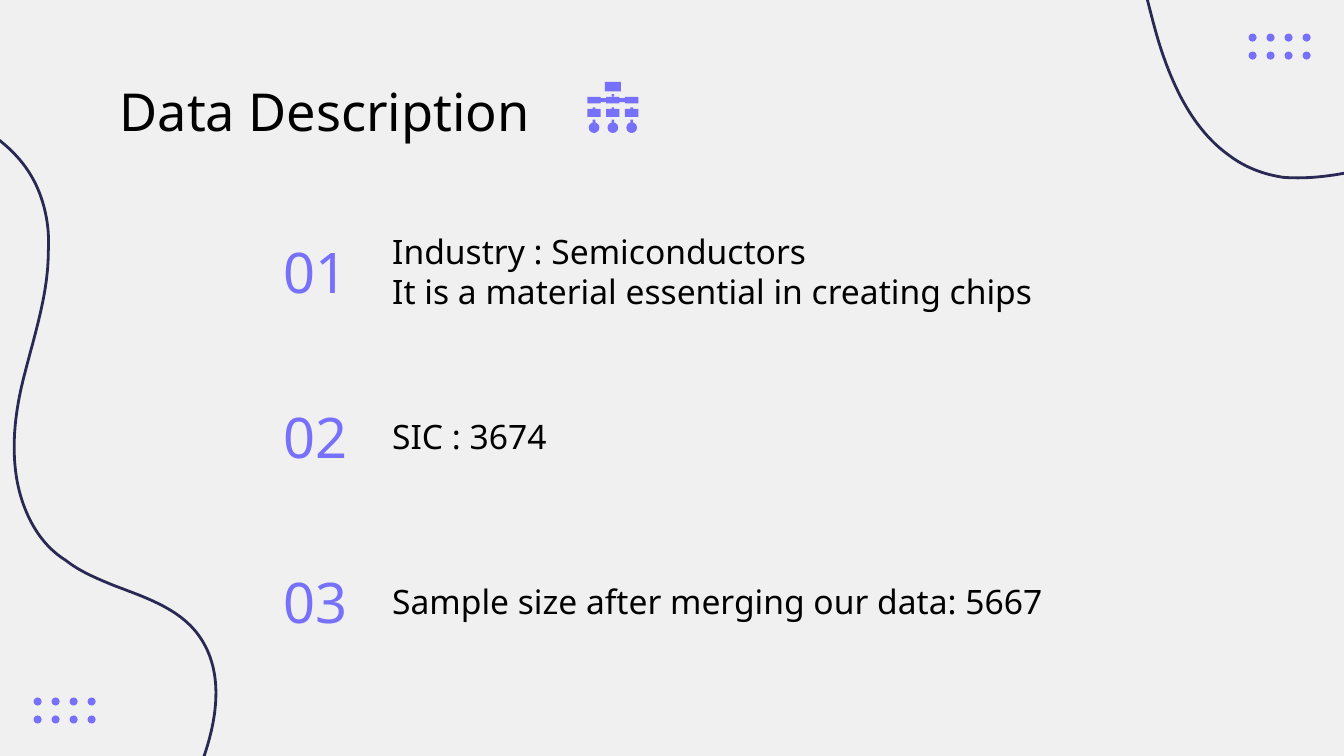
from dataclasses import dataclass

from pptx import Presentation
from pptx.dml.color import RGBColor
from pptx.enum import shapes, text
from pptx.util import Inches, Pt


@dataclass(frozen=True)
class Theme:
    font: str = "Noto Sans"
    background: RGBColor = RGBColor(0xF0, 0xF0, 0xF0)
    ink: RGBColor = RGBColor(0, 0, 0)
    accent: RGBColor = RGBColor(0x77, 0x70, 0xFA)
    wave: RGBColor = RGBColor(0x29, 0x29, 0x53)
    title_size: int = 28
    number_size: int = 30
    fact_size: int = 18
    wave_width: float = 1.5


@dataclass(frozen=True)
class Box:
    left: float
    top: float
    width: float
    height: float

    def lengths(self) -> list:
        return [Inches(v) for v in (self.left, self.top, self.width, self.height)]


@dataclass(frozen=True)
class Fact:
    number: str
    wording: str


@dataclass(frozen=True)
class Wave:
    start: tuple
    curves: tuple


THEME = Theme()
WIDTH = 10
HEIGHT = WIDTH * 9 / 16
WAVE_STEPS = 40
BLEED = 0.02
FACTS = (
    Fact("01", "Industry : Semiconductors\nIt is a material essential in creating chips"),
    Fact("02", "SIC : 3674"),
    Fact("03", "Sample size after merging our data: 5667"),
)
WAVES = (
    Wave((8.32, -0.63), (
        ((8.48, -0.33), (8.53, 0.02), (8.63, 0.34)),
        ((8.73, 0.65), (8.88, 0.97), (9.15, 1.16)),
        ((9.27, 1.25), (9.41, 1.3), (9.55, 1.32)),
        ((9.68, 1.33), (9.81, 1.32), (9.94, 1.3)),
        ((10.18, 1.26), (10.46, 1.2), (10.69, 1.31)),
    )),
    Wave((-0.05, 1.01), (
        ((0.09, 1.11), (0.2, 1.23), (0.27, 1.38)),
        ((0.34, 1.53), (0.37, 1.7), (0.36, 1.87)),
        ((0.36, 2.21), (0.24, 2.54), (0.16, 2.88)),
        ((0.09, 3.19), (0.07, 3.54), (0.21, 3.84)),
        ((0.27, 3.97), (0.36, 4.09), (0.49, 4.17)),
        ((0.59, 4.25), (0.71, 4.3), (0.83, 4.35)),
        ((1.06, 4.44), (1.33, 4.52), (1.48, 4.73)),
        ((1.68, 5.01), (1.61, 5.38), (1.5, 5.68)),
    )),
)


def write(box, wording: str, size: int, color: RGBColor, anchor, spacing: float = 1) -> None:
    frame = box.text_frame
    frame.text = wording
    frame.word_wrap = True
    frame.auto_size = text.MSO_AUTO_SIZE.NONE
    frame.vertical_anchor = anchor
    frame.margin_left = frame.margin_right = Inches(0.1)
    frame.margin_top = frame.margin_bottom = Inches(0.1)
    for paragraph in frame.paragraphs:
        paragraph.alignment = text.PP_ALIGN.LEFT
        paragraph.line_spacing = spacing
        for run in paragraph.runs:
            run.font.name = THEME.font
            run.font.size = Pt(size)
            run.font.color.rgb = color


def add_title(slide, wording: str, box: Box) -> None:
    title = slide.shapes.title
    title.left, title.top, title.width, title.height = box.lengths()
    write(title, wording, THEME.title_size, THEME.ink, text.MSO_ANCHOR.TOP)


def add_fact(slide, fact: Fact, top: float) -> None:
    middle = text.MSO_ANCHOR.MIDDLE
    number = slide.shapes.add_textbox(*Box(2.01, top, 0.8, 0.73).lengths())
    write(number, fact.number, THEME.number_size, THEME.accent, middle)
    wording = slide.shapes.add_textbox(*Box(2.82, top, 5.77, 0.73).lengths())
    spacing = 0.9 if "\n" in fact.wording else 1
    write(wording, fact.wording, THEME.fact_size, THEME.ink, middle, spacing)
    for paragraph in wording.text_frame.paragraphs:
        paragraph.line_spacing = 1


def add_solid(group, kind, box: Box) -> None:
    solid = group.shapes.add_shape(kind, *box.lengths())
    solid.shadow.inherit = False
    solid.fill.solid()
    solid.fill.fore_color.rgb = THEME.accent
    solid.line.fill.background()


def add_dots(slide, left: float, top: float) -> None:
    group = slide.shapes.add_group_shape()
    pitch = 0.134
    for row in range(2):
        for column in range(4):
            dot = Box(left + column * pitch, top + row * pitch, 0.06, 0.06)
            add_solid(group, shapes.MSO_SHAPE.OVAL, dot)


def wave_points(wave: Wave) -> list:
    start, points = wave.start, []
    for first, second, end in wave.curves:
        for step in range(WAVE_STEPS):
            t = step / WAVE_STEPS
            s = 1 - t
            x, y = (
                s**3 * a + 3 * s * s * t * b + 3 * s * t * t * c + t**3 * d
                for a, b, c, d in zip(start, first, second, end)
            )
            if -BLEED <= x <= WIDTH + BLEED and -BLEED <= y <= HEIGHT + BLEED:
                points.append((Inches(x), Inches(y)))
        start = end
    return points


def add_wave(slide, wave: Wave) -> None:
    points = wave_points(wave)
    builder = slide.shapes.build_freeform(*points[0])
    builder.add_line_segments(points[1:], close=False)
    curve = builder.convert_to_shape()
    curve.shadow.inherit = False
    curve.fill.background()
    curve.line.color.rgb = THEME.wave
    curve.line.width = Pt(THEME.wave_width)


def add_hierarchy_icon(slide) -> None:
    group = slide.shapes.add_group_shape()
    block, bulb = shapes.MSO_SHAPE.RECTANGLE, shapes.MSO_SHAPE.OVAL
    add_solid(group, block, Box(4.5, 0.61, 0.12, 0.07))
    add_solid(group, block, Box(4.55, 0.7, 0.02, 0.02))
    add_solid(group, block, Box(4.42, 0.73, 0.28, 0.03))
    for column in range(3):
        left = 4.37 + column * 0.14
        add_solid(group, block, Box(left, 0.72, 0.1, 0.05))
        add_solid(group, block, Box(left, 0.81, 0.1, 0.06))
        add_solid(group, bulb, Box(left + 0.01, 0.91, 0.08, 0.08))
        for stem_top in (0.8, 0.89):
            add_solid(group, block, Box(left + 0.04, stem_top, 0.02, 0.03))


def main() -> None:
    deck = Presentation()
    deck.slide_width, deck.slide_height = Inches(WIDTH), Inches(HEIGHT)
    slide = deck.slides.add_slide(deck.slide_layouts.get_by_name("Title Only"))
    slide.background.fill.solid()
    slide.background.fill.fore_color.rgb = THEME.background
    add_dots(slide, 9.29, 0.25)
    add_dots(slide, 0.25, 5.19)
    add_title(slide, "Data Description", Box(0.79, 0.49, 8.43, 0.63))
    for index, fact in enumerate(FACTS):
        add_fact(slide, fact, 1.65 + index * 1.23)
    for wave in WAVES:
        add_wave(slide, wave)
    add_hierarchy_icon(slide)
    deck.save("out.pptx")


if __name__ == "__main__":
    main()
